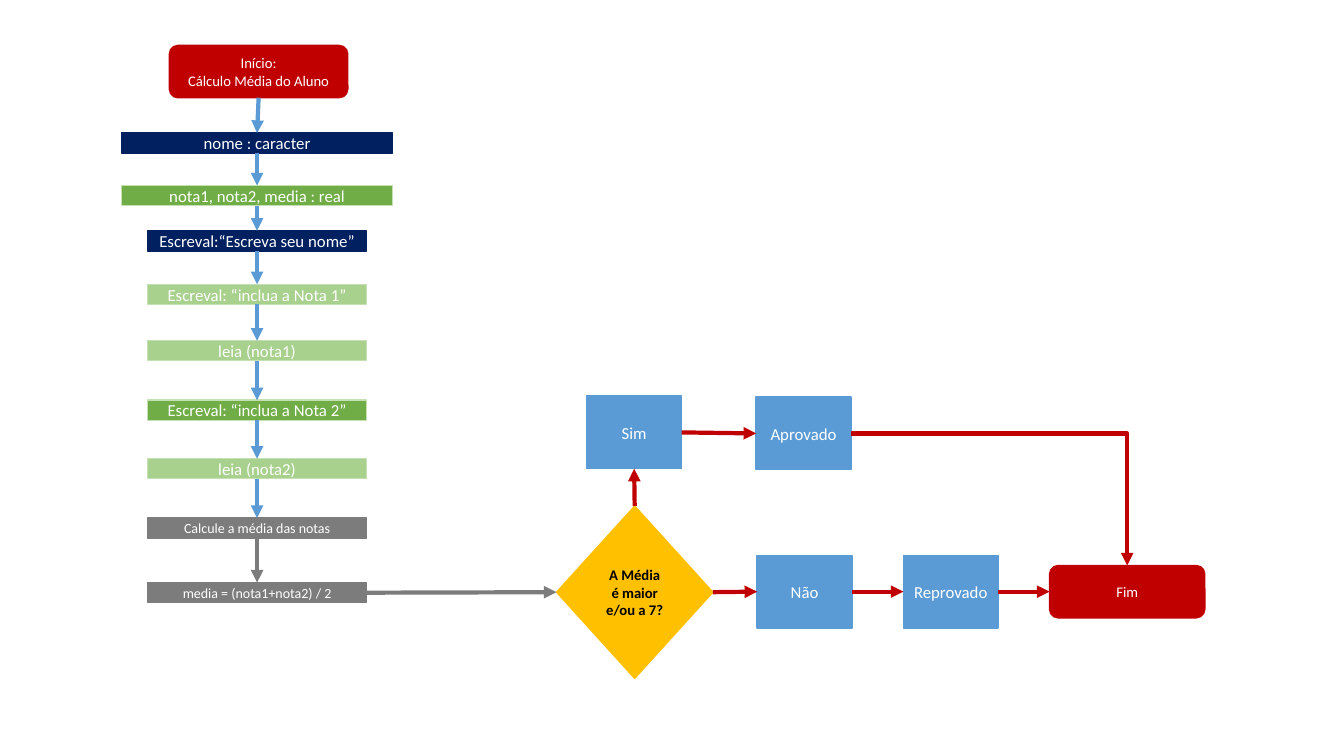
from itertools import pairwise
from lxml.etree import SubElement
from pptx import Presentation
from pptx.dml.color import RGBColor
from pptx.enum.shapes import MSO_CONNECTOR, MSO_SHAPE
from pptx.enum.text import MSO_ANCHOR, PP_ALIGN
from pptx.oxml.ns import qn
from pptx.util import Inches, Pt

COLORS = {
    "red": "C00000", "navy": "002060", "green": "70AD47", "light": "A9D18E",
    "pale": "C5E0B4", "gray": "7C7C7C", "blue": "5B9BD5", "gold": "FFC000",
    "white": "FFFFFF", "black": "000000",
}
TOP, LEFT, BOTTOM, RIGHT = range(4)


class Chart:
    font = "Calibri"

    def __init__(self, slide):
        self.slide = slide

    def color(self, name):
        return RGBColor.from_string(COLORS[name])

    def box(self, text, area, fill, size=12, kind=MSO_SHAPE.RECTANGLE,
            edge=None, ink="white", bold=False):
        shape = self.slide.shapes.add_shape(kind, *map(Inches, area))
        shape.shadow.inherit = False
        shape.fill.solid()
        shape.fill.fore_color.rgb = self.color(fill)
        shape.line.color.rgb = self.color(edge or fill)
        shape.line.width = Pt(1)
        frame = shape.text_frame
        frame.word_wrap = True
        frame.vertical_anchor = MSO_ANCHOR.MIDDLE
        frame.text = text
        for para in frame.paragraphs:
            para.alignment = PP_ALIGN.CENTER
            para.font.name = self.font
            para.font.size = Pt(size)
            para.font.bold = bold
            para.font.color.rgb = self.color(ink)
        return shape

    def arrow(self, start, out, end, into, color, bent=False):
        kind = MSO_CONNECTOR.ELBOW if bent else MSO_CONNECTOR.STRAIGHT
        line = self.slide.shapes.add_connector(kind, 0, 0, 0, 0)
        line.begin_connect(start, out)
        line.end_connect(end, into)
        line.line.color.rgb = self.color(color)
        line.line.width = Pt(3)
        props = line._element.spPr
        if bent:
            props.find(qn("a:prstGeom")).set("prst", "bentConnector2")
        SubElement(props.find(qn("a:ln")), qn("a:tailEnd"), type="triangle")
        SubElement(props, qn("a:effectLst"))


def main():
    deck = Presentation()
    deck.slide_width, deck.slide_height = Inches(13.33), Inches(7.5)
    chart = Chart(deck.slides.add_slide(deck.slide_layouts[6]))

    axis, wide, slim = 2.55, 2.69, 2.17
    steps = [
        ("nome : caracter", 1.32, wide, "navy", None, 12),
        ("nota1, nota2, media : real", 1.84, wide, "green", "pale", 12),
        ("Escreval:“Escreva seu nome”", 2.29, slim, "navy", None, 12),
        ("Escreval: “inclua a Nota 1”", 2.82, slim, "light", "pale", 12),
        ("leia (nota1)", 3.38, slim, "light", "pale", 12),
        ("Escreval: “inclua a Nota 2”", 3.97, slim, "green", "pale", 12),
        ("leia (nota2)", 4.55, slim, "light", "pale", 12),
        ("Calcule a média das notas", 5.14, slim, "gray", None, 10),
        ("media = (nota1+nota2) / 2", 5.78, slim, "gray", None, 10),
    ]
    round_box = MSO_SHAPE.ROUNDED_RECTANGLE
    flow = [chart.box("Início:\nCálculo Média do Aluno", (1.68, 0.45, 1.77, 0.52),
                      "red", 10.5, round_box)]
    for text, top, width, fill, edge, size in steps:
        flow.append(chart.box(text, (axis - width / 2, top, width, 0.2),
                              fill, size, edge=edge))

    test = chart.box("A Média é maior e/ou a 7?", (5.52, 5.02, 1.55, 1.71),
                     "gold", 10.5, MSO_SHAPE.DIAMOND, ink="black", bold=True)
    yes, passed, no, failed = [
        chart.box(text, (left, top, 0.94, 0.72), "blue")
        for text, left, top in [
            ("Sim", 5.82, 3.93), ("Aprovado", 7.5, 3.94),
            ("Não", 7.51, 5.51), ("Reprovado", 8.96, 5.51),
        ]
    ]
    end = chart.box("Fim", (10.41, 5.61, 1.54, 0.52), "red", 10.5, round_box)

    links = list(pairwise(flow))
    for upper, lower in links[:-1]:
        chart.arrow(upper, BOTTOM, lower, TOP, "blue")
    chart.arrow(flow[-2], BOTTOM, flow[-1], TOP, "gray")
    chart.arrow(flow[-1], RIGHT, test, LEFT, "gray")
    chart.arrow(test, TOP, yes, BOTTOM, "red")
    for start, stop in [(yes, passed), *pairwise([test, no, failed, end])]:
        chart.arrow(start, RIGHT, stop, LEFT, "red")
    chart.arrow(passed, RIGHT, end, TOP, "red", bent=True)

    deck.save("out.pptx")


if __name__ == "__main__":
    main()
